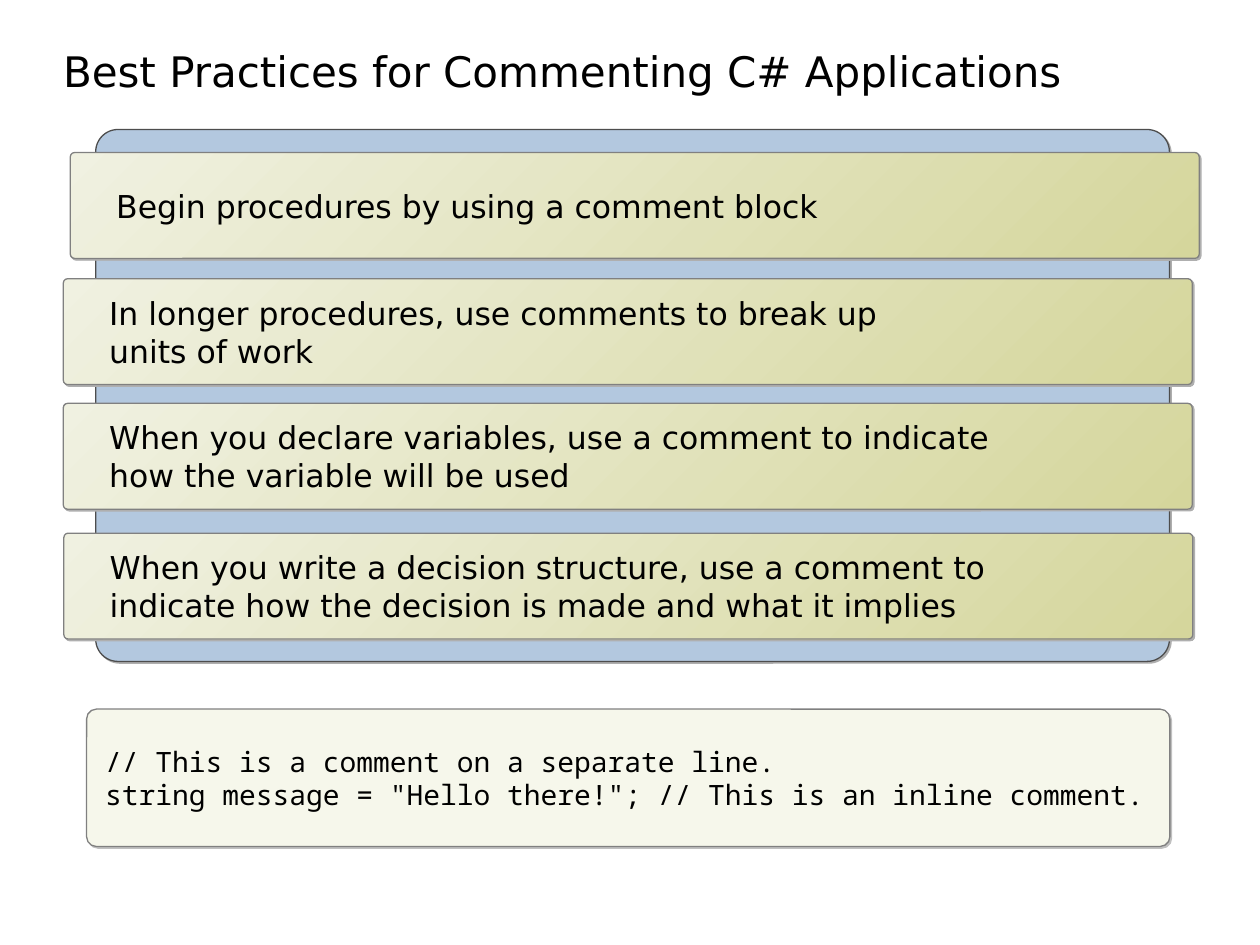
from lxml import etree
from pptx import Presentation
from pptx.dml.color import RGBColor
from pptx.enum.shapes import MSO_SHAPE
from pptx.enum.text import MSO_ANCHOR, MSO_AUTO_SIZE, PP_ALIGN
from pptx.oxml.ns import qn
from pptx.util import Pt

ROUNDED = MSO_SHAPE.ROUNDED_RECTANGLE
MIDDLE, BOTTOM = MSO_ANCHOR.MIDDLE, MSO_ANCHOR.BOTTOM
LEFT = PP_ALIGN.LEFT
NO_AUTOFIT = MSO_AUTO_SIZE.NONE
TITLE_ONLY = 5

COLORS = {
    "text": "000000",
    "panel": "B3C8DF",
    "panel_line": "4D4D4D",
    "panel_shadow": "5F5F5F",
    "bar_start": "F0F1E1",
    "bar_end": "D5D69C",
    "bar_shadow": "AFAFAF",
    "code": "F6F7EB",
    "code_shadow": "C0C0C0",
    "line": "808080",
}
SANS, MONO = "DejaVu Sans", "Noto Sans Mono"

BAR_SIZE = (645.12, 60.48)
BARS = [
    (40.2, 87.2, ["Begin procedures by using a comment block"]),
    (36.2, 159.3, ["In longer procedures, use comments to break up",
                   "units of work"]),
    (36.2, 230.5, ["When you declare variables, use a comment to indicate",
                   "how the variable will be used"]),
    (36.5, 304.7, ["When you write a decision structure, use a comment to",
                   "indicate how the decision is made and what it implies"]),
]
CODE_LINES = [
    "// This is a comment on a separate line.",
    'string message = "Hello there!"; // This is an inline comment.',
]


def color(name):
    return RGBColor.from_string(COLORS[name])


def set_all(target, values):
    for name, value in values.items():
        setattr(target, name, value)


def write_lines(shape, lines, font, size, anchor, margins, spacing=1.0):
    frame = shape.text_frame
    left, top, right, bottom = (Pt(margin) for margin in margins)
    set_all(frame, {
        "auto_size": NO_AUTOFIT, "word_wrap": True, "vertical_anchor": anchor,
        "margin_left": left, "margin_top": top,
        "margin_right": right, "margin_bottom": bottom,
    })
    for index, line in enumerate(lines):
        para = frame.add_paragraph() if index else frame.paragraphs[0]
        set_all(para, {"alignment": LEFT, "line_spacing": spacing})
        span = para.add_run()
        span.text = line
        set_all(span.font, {"name": font, "size": Pt(size)})
        span.font.color.rgb = color("text")


def add_shadow(shape, name, opacity):
    shape.shadow.inherit = False
    effects = shape.element.spPr.find(qn("a:effectLst"))
    shadow = etree.SubElement(effects, qn("a:outerShdw"), {
        "dist": str(Pt(1.4)), "dir": "2700000", "algn": "ctr", "rotWithShape": "0"})
    tint = etree.SubElement(shadow, qn("a:srgbClr"), val=COLORS[name])
    etree.SubElement(tint, qn("a:alpha"), val=str(opacity * 1000))


def add_card(page, bounds, rounding, fills, line, shadow, opacity=100):
    shape = page.shapes.add_shape(ROUNDED, *(Pt(value) for value in bounds))
    shape.adjustments[0] = rounding
    if len(fills) == 1:
        shape.fill.solid()
        shape.fill.fore_color.rgb = color(fills[0])
    else:
        shape.fill.gradient()
        shape.fill.gradient_angle = 315
        for stop, name in zip(shape.fill.gradient_stops, fills):
            stop.color.rgb = color(name)
    shape.line.color.rgb = color(line)
    shape.line.width = Pt(0.75)
    add_shadow(shape, shadow, opacity)
    return shape


def add_title(page, text):
    title = page.shapes.title
    set_all(title, {"left": Pt(36), "top": Pt(0), "width": Pt(612), "height": Pt(58.3)})
    write_lines(title, [text], SANS, 24, BOTTOM, (0, 3.6, 7.2, 3.6), 0.85)


def add_bar(page, left, top, lines):
    bar = add_card(page, (left, top, *BAR_SIZE), 0.041,
                   ["bar_start", "bar_end"], "line", "bar_shadow")
    write_lines(bar, lines, SANS, 18, MIDDLE, (25.5, 2.9, 7.2, 2.9))


def add_code(page, lines):
    block = add_card(page, (49.5, 405.2, 619, 78.5), 0.071,
                     ["code"], "line", "code_shadow")
    write_lines(block, lines, MONO, 16, MIDDLE, (9, 3.6, 7.2, 3.6))


def main():
    deck = Presentation()
    set_all(deck, {"slide_width": Pt(720), "slide_height": Pt(540)})
    page = deck.slides.add_slide(deck.slide_layouts[TITLE_ONLY])
    add_title(page, "Best Practices for Commenting C# Applications")
    add_card(page, (54.7, 74, 613.6, 304), 0.042,
             ["panel"], "panel_line", "panel_shadow", 50)
    add_code(page, CODE_LINES)
    for left, top, lines in BARS:
        add_bar(page, left, top, lines)
    deck.save("out.pptx")


if __name__ == "__main__":
    main()
